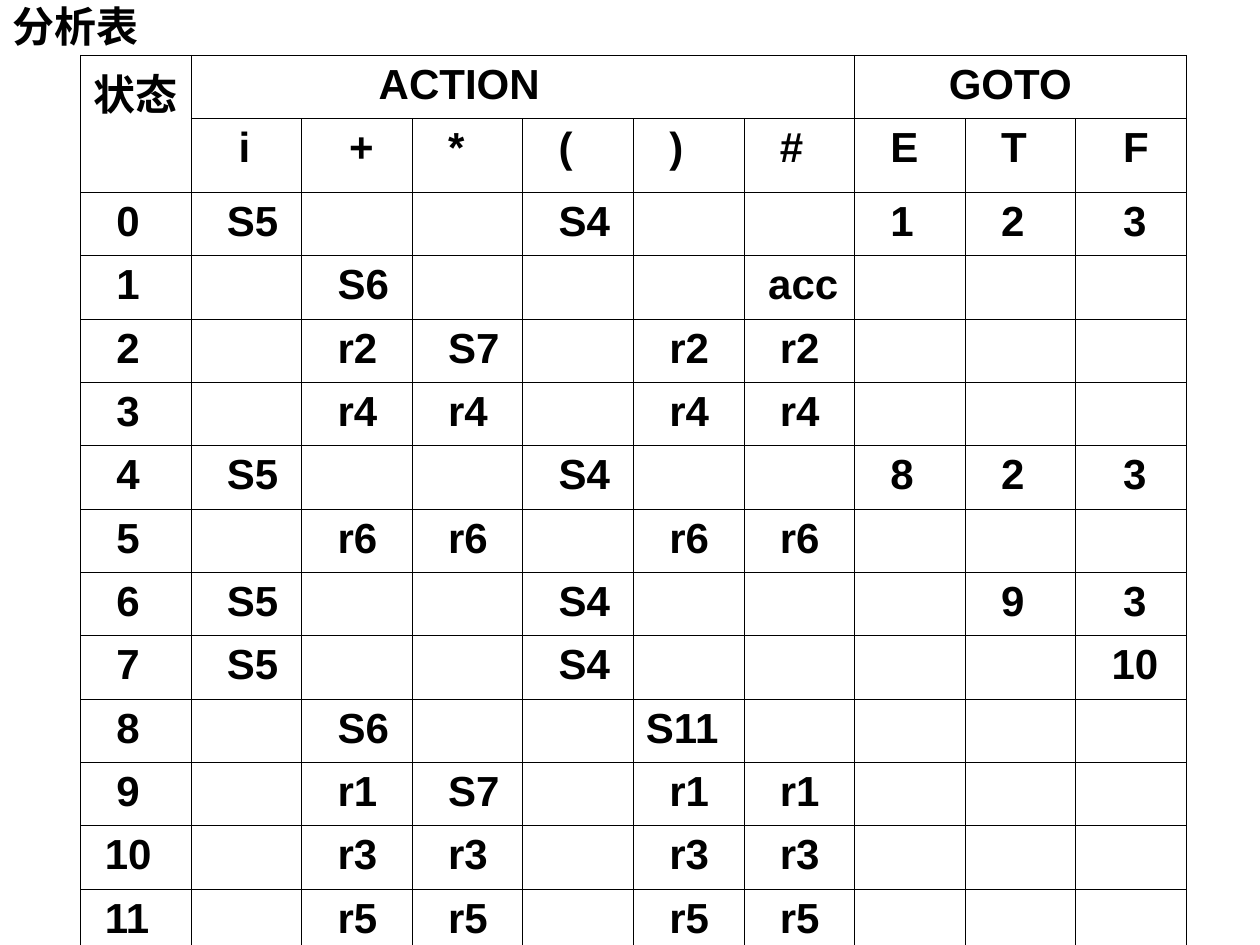
from lxml import etree
from pptx import Presentation
from pptx.dml.color import RGBColor
from pptx.enum.text import MSO_ANCHOR, MSO_AUTO_SIZE, PP_ALIGN
from pptx.oxml.ns import qn
from pptx.util import Pt

LEFT, TOP, NONE = PP_ALIGN.LEFT, MSO_ANCHOR.TOP, MSO_AUTO_SIZE.NONE
COLORS = {"ink": "000000"}
COL, ROW = 63.2, 36.2
PAD, STEP = 7.2, 6.67

# One row per parser state; "-" is an empty cell.
ROWS = [line.split() for line in """
状态 ACTION - - - - - GOTO - -
- i + * ( ) # E T F
0 S5 - - S4 - - 1 2 3
1 - S6 - - - acc - - -
2 - r2 S7 - r2 r2 - - -
3 - r4 r4 - r4 r4 - - -
4 S5 - - S4 - - 8 2 3
5 - r6 r6 - r6 r6 - - -
6 S5 - - S4 - - - 9 3
7 S5 - - S4 - - - - 10
8 - S6 - - S11 - - - -
9 - r1 S7 - r1 r1 - - -
10 - r3 r3 - r3 r3 - - -
11 - r5 r5 - r5 r5 - - -
""".strip().splitlines()]

# Indent steps for the cells that differ from the usual two.
STEPS = {"状态": 0, "ACTION": 15, "GOTO": 7, "i": 3, "+": 3, "F": 3,
         "acc": 1, "S11": 0}


def write(para, text):
    para.alignment = LEFT
    run = para.add_run()
    run.text = text
    run.font.name = "Arial"
    run.font.size = Pt(24)
    run.font.bold = True
    run.font.color.rgb = RGBColor.from_string(COLORS["ink"])


def rule(cell):
    """Draw a thin line on all four sides of a cell."""
    props = cell._tc.get_or_add_tcPr()
    for side in ("lnL", "lnR", "lnT", "lnB"):
        line = etree.SubElement(props, qn("a:" + side), w=str(Pt(0.45)))
        fill = etree.SubElement(line, qn("a:solidFill"))
        etree.SubElement(fill, qn("a:srgbClr"), val=COLORS["ink"])


prs = Presentation()
prs.slide_width, prs.slide_height = Pt(720), Pt(540)
slide = prs.slides.add_slide(prs.slide_layouts[5])

# Title
title = slide.shapes.title
title.left, title.top, title.width, title.height = Pt(0), Pt(0), Pt(235.4), Pt(33.1)
frame = title.text_frame
frame.auto_size = NONE
frame.word_wrap = True
frame.vertical_anchor = TOP
frame.paragraphs[0].line_spacing = 0.9
write(frame.paragraphs[0], "分析表")

# Parsing table
rows, cols = len(ROWS), len(ROWS[0])
table = slide.shapes.add_table(rows, cols, Pt(46), Pt(31.6),
                               Pt(COL * cols), Pt(ROW * rows)).table
table.first_row = table.horz_banding = False
for col in table.columns:
    col.width = Pt(COL)
for row in table.rows:
    row.height = Pt(ROW)

for r, line in enumerate(ROWS):
    for c, text in enumerate(line):
        cell = table.cell(r, c)
        rule(cell)
        cell.fill.background()
        if text == "-":
            continue
        steps = STEPS.get(text, 2)
        if c == 0 and len(text) == 2 and text.isdigit():
            steps = 1
        elif c == cols - 1 and text == "3":
            steps = 3
        cell.margin_left = Pt(round(PAD + steps * STEP, 2))
        cell.vertical_anchor = TOP
        write(cell.text_frame.paragraphs[0], text)

table.cell(0, 0).merge(table.cell(1, 0))
table.cell(0, 1).merge(table.cell(0, 6))
table.cell(0, 7).merge(table.cell(0, 9))

prs.save("out.pptx")
